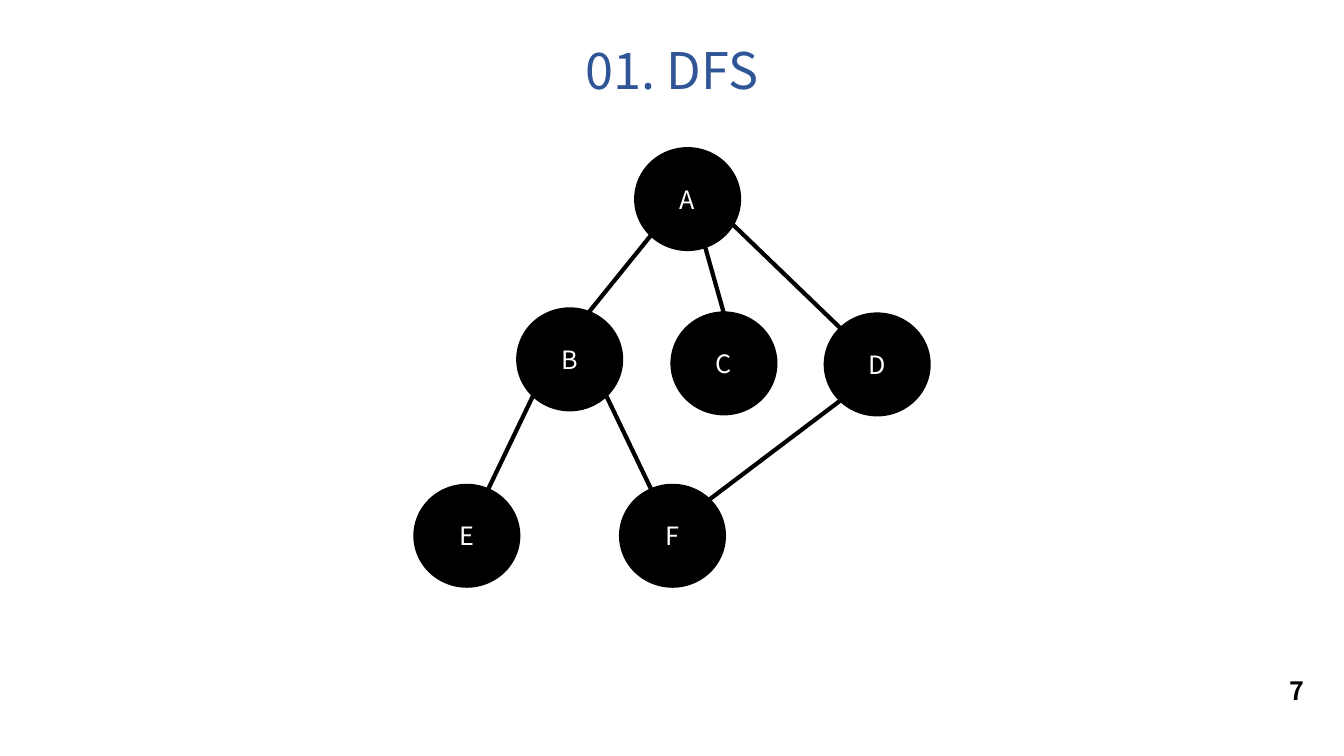
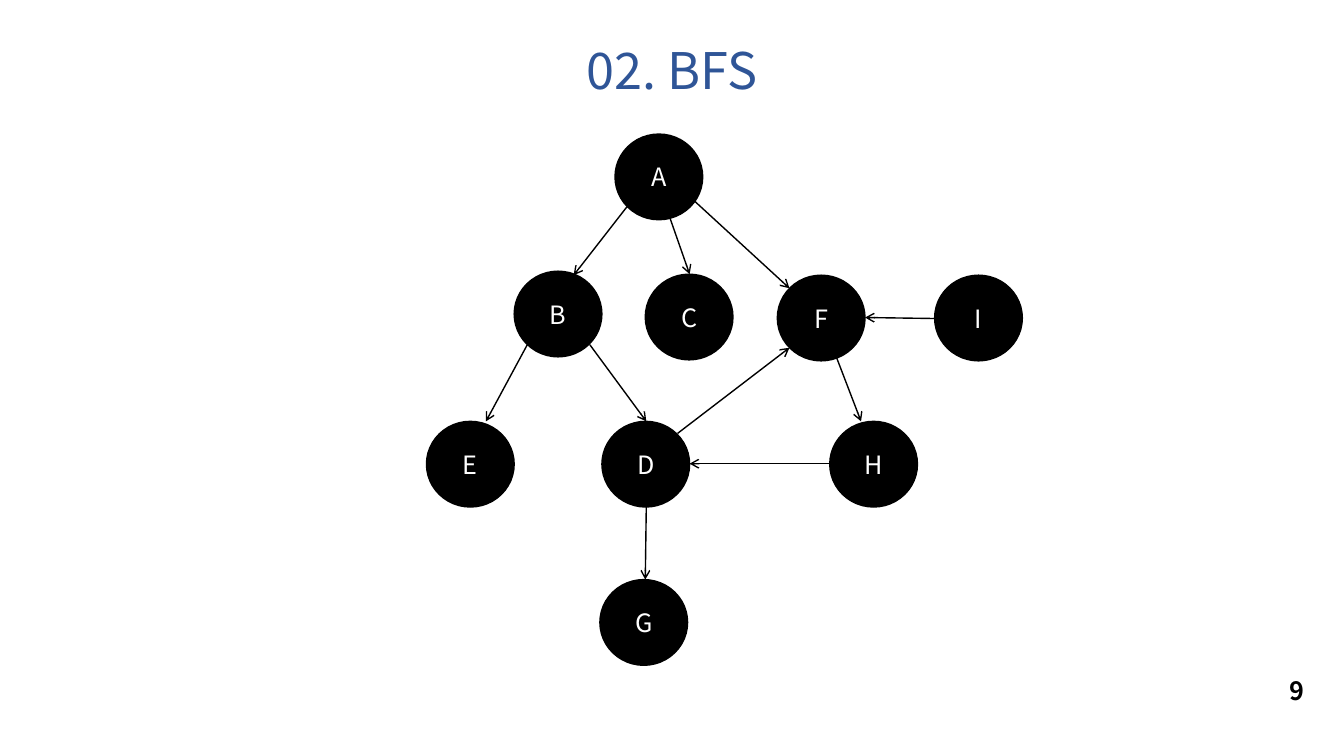
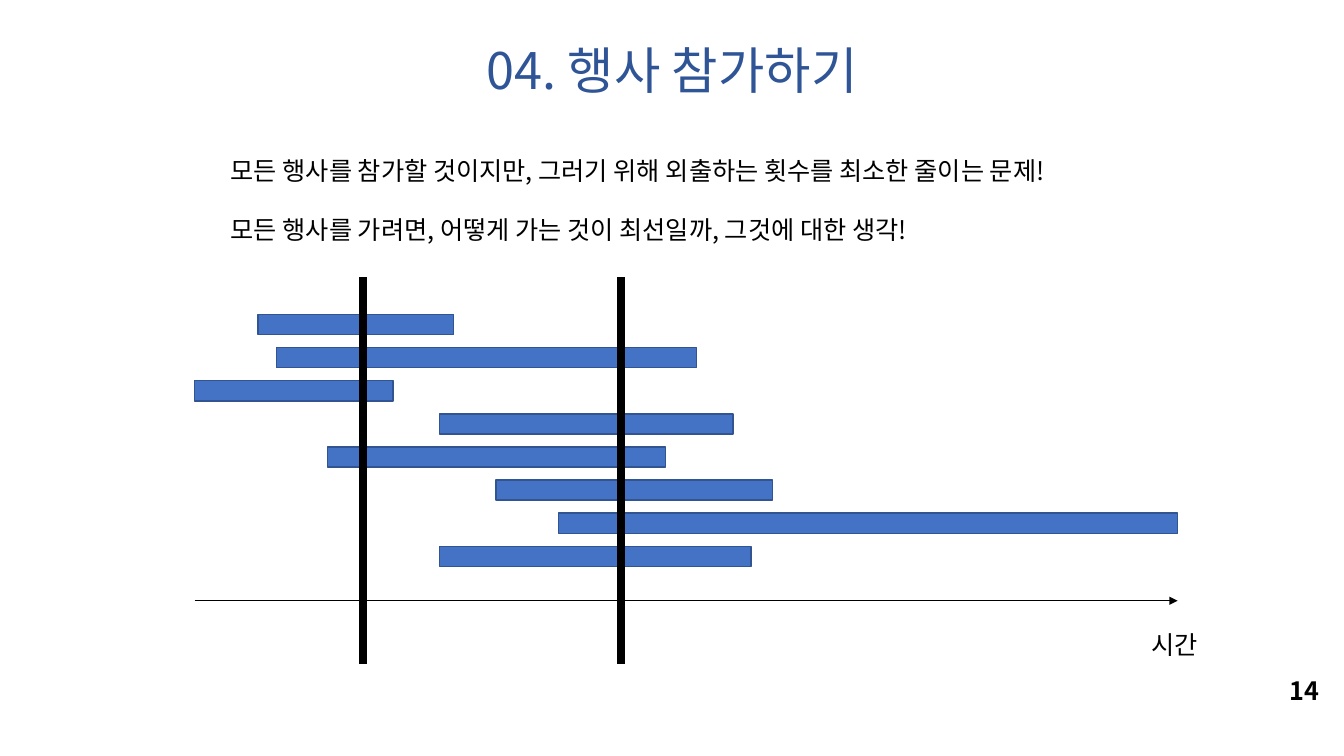
from lxml.etree import SubElement
from pptx import Presentation
from pptx.dml.color import RGBColor
from pptx.enum.shapes import MSO_CONNECTOR, MSO_SHAPE
from pptx.enum.text import MSO_ANCHOR, MSO_AUTO_SIZE, PP_ALIGN
from pptx.oxml.ns import qn
from pptx.util import Inches, Pt

FONT = "Noto Sans CJK KR"
BLACK = RGBColor(0x00, 0x00, 0x00)
WHITE = RGBColor(0xFF, 0xFF, 0xFF)
TITLE_BLUE = RGBColor(0x2F, 0x55, 0x97)
BAR_BLUE = RGBColor(0x44, 0x72, 0xC4)
BAR_OUTLINE = RGBColor(0x32, 0x54, 0x91)


def format_text(shape, color, size=18, bold=False, align=PP_ALIGN.LEFT):
    text_frame = shape.text_frame
    text_frame.word_wrap = True
    text_frame.auto_size = MSO_AUTO_SIZE.NONE
    text_frame.vertical_anchor = MSO_ANCHOR.MIDDLE
    for paragraph in text_frame.paragraphs:
        paragraph.alignment = align
        for run in paragraph.runs:
            run.font.name = FONT
            run.font.size = Pt(size)
            run.font.bold = bold
            run.font.color.rgb = color
            east_asian = SubElement(run.font._element, qn("a:ea"))
            east_asian.set("typeface", FONT)


def add_line(slide, ends, width, arrowhead=None):
    connector = slide.shapes.add_connector(
        MSO_CONNECTOR.STRAIGHT, *[Inches(value) for value in ends])
    connector.line.color.rgb = BLACK
    connector.line.width = Pt(width)
    properties = connector._element.spPr
    if arrowhead:
        SubElement(properties.find(qn("a:ln")), qn("a:tailEnd")).set("type", arrowhead)
    SubElement(properties, qn("a:effectLst"))


presentation = Presentation()
presentation.slide_width = Inches(13.33)
presentation.slide_height = Inches(7.5)
title_only = presentation.slide_layouts[5]

slides = []
for title_text, number in [("01. DFS", 7), ("02. BFS", 9), ("04. 행사 참가하기", 14)]:
    slide = presentation.slides.add_slide(title_only)
    title = slide.shapes.title
    title.left, title.top = Inches(0), Inches(0.33)
    title.width, title.height = Inches(13.33), Inches(0.72)
    title.text_frame.text = title_text
    format_text(title, TITLE_BLUE, size=36, align=PP_ALIGN.CENTER)
    page_number = slide.shapes.add_textbox(
        Inches(12.69), Inches(6.65), Inches(0.6), Inches(0.4))
    page_number.text_frame.text = str(number)
    format_text(page_number, BLACK, bold=True)
    slides.append(slide)
dfs_slide, bfs_slide, events_slide = slides

dfs_nodes = {
    "A": (6.31, 1.48), "B": (5.14, 3.07), "C": (6.67, 3.11),
    "D": (8.19, 3.12), "E": (4.12, 4.82), "F": (6.16, 4.82),
}
dfs_edges = [
    (6.46, 2.33, 5.83, 3.11),
    (6.96, 2.33, 7.18, 3.11),
    (7.25, 2.21, 8.34, 3.26),
    (5.29, 3.92, 4.81, 4.92),
    (6.01, 3.92, 6.49, 4.92),
    (7.03, 4.96, 8.34, 3.97),
]
bfs_nodes = {
    "A": (6.1, 1.33), "B": (5.1, 2.69), "C": (6.4, 2.72),
    "F": (7.71, 2.73), "I": (9.27, 2.73), "E": (4.23, 4.18),
    "D": (5.97, 4.18), "H": (8.23, 4.18), "G": (5.95, 5.75),
}
bfs_edges = [
    (6.22, 2.05, 5.69, 2.73),
    (6.56, 1.92, 6.84, 2.72),
    (6.72, 1.84, 7.83, 2.86),
    (5.23, 3.42, 4.82, 4.18),
    (5.85, 3.42, 6.41, 4.18),
    (6.72, 4.3, 7.83, 3.45),
    (8.26, 3.45, 8.54, 4.18),
    (9.27, 3.16, 8.58, 3.15),
    (8.23, 4.6, 6.84, 4.6),
    (6.41, 5.03, 6.4, 5.75),
]
graphs = [
    (dfs_slide, dfs_nodes, dfs_edges, 1.02, 0.99, 3, None),
    (bfs_slide, bfs_nodes, bfs_edges, 0.87, 0.85, 1, "arrow"),
]
for slide, nodes, edges, width, height, line_width, arrowhead in graphs:
    for label, (left, top) in nodes.items():
        node = slide.shapes.add_shape(
            MSO_SHAPE.OVAL, Inches(left), Inches(top), Inches(width), Inches(height))
        node.shadow.inherit = False
        node.fill.solid()
        node.fill.fore_color.rgb = BLACK
        node.line.color.rgb = BLACK
        node.line.width = Pt(line_width)
        node.text_frame.text = label
        format_text(node, WHITE, align=PP_ALIGN.CENTER)
    for ends in edges:
        add_line(slide, ends, line_width, arrowhead)

description = events_slide.shapes.add_textbox(
    Inches(2.19), Inches(1.5), Inches(11.14), Inches(1.01))
description.text_frame.text = (
    "모든 행사를 참가할 것이지만, 그러기 위해 외출하는 횟수를 최소한 줄이는 문제!\n"
    "모든 행사를 가려면, 어떻게 가는 것이 최선일까, 그것에 대한 생각!")
format_text(description, BLACK)
description.text_frame.vertical_anchor = MSO_ANCHOR.TOP
for paragraph in description.text_frame.paragraphs:
    paragraph.line_spacing = Pt(21)
paragraph.space_before = Pt(21)

event_bars = [
    (2.56, 1.94), (2.74, 4.17), (1.93, 1.97), (4.36, 2.91),
    (3.25, 3.35), (4.92, 2.74), (5.54, 6.14), (4.36, 3.09),
]
first_top, last_top = 3.12, 5.42
bar_step = (last_top - first_top) / (len(event_bars) - 1)
for index, (left, width) in enumerate(event_bars):
    bar = events_slide.shapes.add_shape(
        MSO_SHAPE.RECTANGLE, Inches(left), Inches(first_top + index * bar_step),
        Inches(width), Inches(0.2))
    bar.shadow.inherit = False
    bar.fill.solid()
    bar.fill.fore_color.rgb = BAR_BLUE
    bar.line.color.rgb = BAR_OUTLINE
    bar.line.width = Pt(1)

add_line(events_slide, (1.93, 5.96, 11.68, 5.96), 0.5, "triangle")
time_label = events_slide.shapes.add_textbox(
    Inches(11.32), Inches(6.19), Inches(0.71), Inches(0.4))
time_label.text_frame.text = "시간"
format_text(time_label, BLACK)
for outing in (3.6, 6.16):
    add_line(events_slide, (outing, 2.75, outing, 6.59), 6)

presentation.save("out.pptx")
